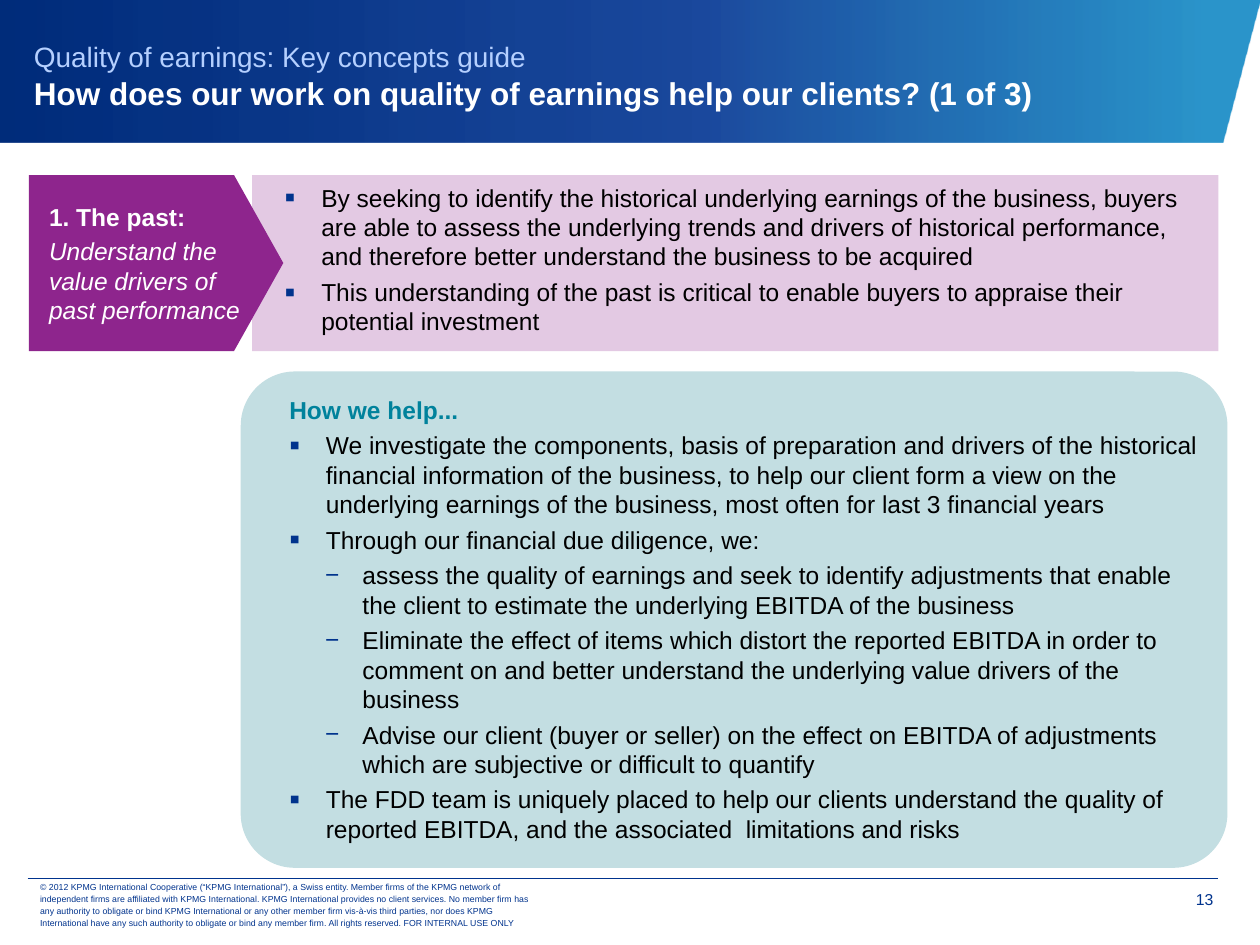
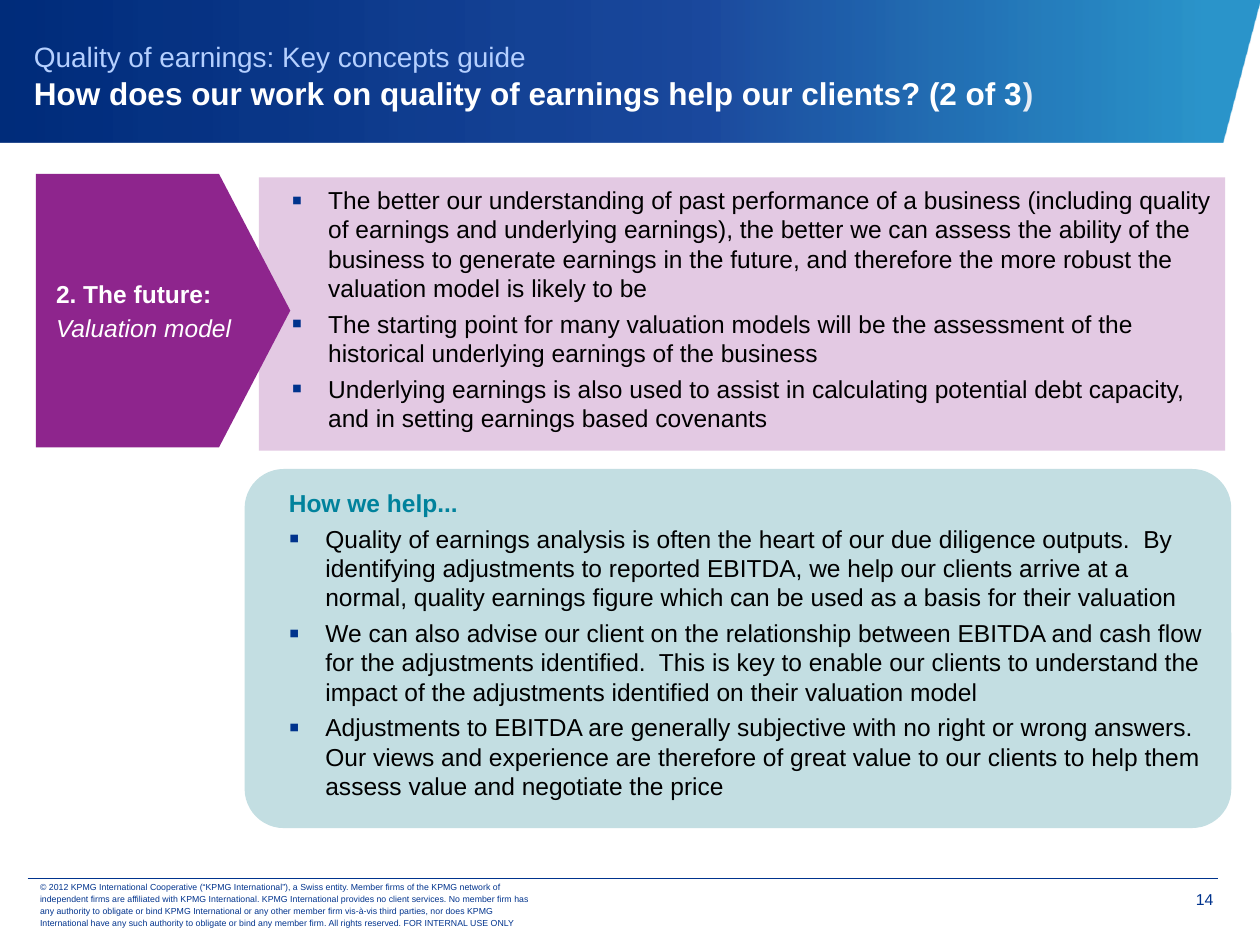
"""Build two slides on how quality of earnings work helps clients."""
from lxml.etree import SubElement
from pptx import Presentation
from pptx.dml.color import RGBColor
from pptx.enum.shapes import MSO_CONNECTOR, MSO_SHAPE
from pptx.enum.text import MSO_ANCHOR, MSO_AUTO_SIZE, PP_ALIGN
from pptx.oxml.ns import qn
from pptx.util import Pt

NAVY = RGBColor(0x00, 0x33, 0x8D)
SKY = RGBColor(0xB5, 0xD0, 0xFF)
TEAL = RGBColor(0x00, 0x82, 0x9C)
PALE_TEAL = RGBColor(0xC3, 0xDE, 0xE2)
PURPLE = RGBColor(0x8E, 0x25, 0x8D)
PALE_PURPLE = RGBColor(0xE3, 0xC9, 0xE3)
MIST = RGBColor(0xE7, 0xED, 0xF5)
WHITE = RGBColor(0xFF, 0xFF, 0xFF)
BLACK = RGBColor(0x00, 0x00, 0x00)
BAND_STOPS = [
    (4, RGBColor(0x00, 0x80, 0xC0), 83),
    (44, RGBColor(0x00, 0x34, 0x92), 89),
    (100, RGBColor(0x00, 0x2C, 0x7A), 100),
]

FONT = "Arial"
TEXT_SIZE = 14
INSET = 4.3
BAND_CORNERS = [(0, 0), (720, 0), (698.4, 81.4), (0, 81.4)]
ARROW_WIDTH, SUMMARY_WIDTH, HELP_WIDTH = 145.4, 552.2, 563.8

SERIES = "Quality of earnings: Key concepts guide"
HELP_HEADING = "How we help..."
COPYRIGHT = (
    "© 2012 KPMG International Cooperative (“KPMG International”), a Swiss entity. "
    "Member firms of the KPMG network of independent firms are affiliated with KPMG International. "
    "KPMG International provides no client services. No member firm has any authority to obligate "
    "or bind KPMG International or any other member firm vis-à-vis third parties, nor does KPMG "
    "International have any such authority to obligate or bind any member firm. "
    "All rights reserved. FOR INTERNAL USE ONLY"
)

HEADING, BULLET, DASH = "heading", "bullet", "dash"
LIST_STYLES = {
    HEADING: dict(indent=(35.3, -20.9), mark=None, color=TEAL, bold=True),
    BULLET: dict(indent=(35.3, -20.9), mark="▪", scale=125, color=BLACK, bold=False),
    DASH: dict(indent=(56.2, -21.4), mark="−", scale=100, color=BLACK, bold=False),
}

SLIDES = [
    dict(
        number="13",
        title=[("How does our work on quality of earnings help our clients? (1 of 3)", WHITE)],
        stage=("1. The past:", "Understand the value drivers of past performance"),
        arrow_at=(16.5, 100), summary_at=(144, 100), summary_height=100.6,
        help_at=(137.6, 212.3), help_height=283.6,
        summary=[
            (BULLET, "By seeking to identify the historical underlying earnings of the business, "
                     "buyers are able to assess the underlying trends and drivers of historical "
                     "performance, and therefore better understand the business to be acquired"),
            (BULLET, "This understanding of the past is critical to enable buyers to appraise "
                     "their potential investment"),
        ],
        help=[
            (BULLET, "We investigate the components, basis of preparation and drivers of the "
                     "historical financial information of the business, to help our client form a "
                     "view on the underlying earnings of the business, most often for last 3 "
                     "financial years"),
            (BULLET, "Through our financial due diligence, we:"),
            (DASH, "assess the quality of earnings and seek to identify adjustments that enable "
                   "the client to estimate the underlying EBITDA of the business"),
            (DASH, "Eliminate the effect of items which distort the reported EBITDA in order to "
                   "comment on and better understand the underlying value drivers of the business"),
            (DASH, "Advise our client (buyer or seller) on the effect on EBITDA of adjustments "
                   "which are subjective or difficult to quantify"),
            (BULLET, "The FDD team is uniquely placed to help our clients understand the quality "
                     "of reported EBITDA, and the associated  limitations and risks"),
        ],
    ),
    dict(
        number="14",
        title=[("How does our work on quality of earnings help our clients? (2 of 3", WHITE),
               (")", MIST)],
        stage=("2. The future:", "Valuation model"),
        arrow_at=(20.5, 99.4), summary_at=(147.9, 101.3), summary_height=156.2,
        help_at=(139.8, 268), help_height=205.2,
        summary=[
            (BULLET, "The better our understanding of past performance of a business (including "
                     "quality of earnings and underlying earnings), the better we can assess the "
                     "ability of the business to generate earnings in the future, and therefore "
                     "the more robust the valuation model is likely to be"),
            (BULLET, "The starting point for many valuation models will be the assessment of the "
                     "historical underlying earnings of the business"),
            (BULLET, "Underlying earnings is also used to assist in calculating potential debt "
                     "capacity, and in setting earnings based covenants"),
        ],
        help=[
            (BULLET, "Quality of earnings analysis is often the heart of our due diligence "
                     "outputs.  By identifying adjustments to reported EBITDA, we help our clients "
                     "arrive at a normal, quality earnings figure which can be used as a basis for "
                     "their valuation"),
            (BULLET, "We can also advise our client on the relationship between EBITDA and cash "
                     "flow for the adjustments identified.  This is key to enable our clients to "
                     "understand the impact of the adjustments identified on their valuation model"),
            (BULLET, "Adjustments to EBITDA are generally subjective with no right or wrong "
                     "answers.  Our views and experience are therefore of great value to our "
                     "clients to help them assess value and negotiate the price"),
        ],
    ),
]


def style_span(span, size, color, bold=False, italic=False):
    span.font.name = FONT
    span.font.size = Pt(size)
    span.font.color.rgb = color
    span.font.bold = bold
    span.font.italic = italic


def place(shape, left, top, width, height):
    shape.left, shape.top, shape.width, shape.height = map(Pt, (left, top, width, height))


def prepare_frame(shape, anchor, insets):
    frame = shape.text_frame
    frame.word_wrap = True
    frame.auto_size = MSO_AUTO_SIZE.NONE
    frame.vertical_anchor = anchor
    (frame.margin_left, frame.margin_top,
     frame.margin_right, frame.margin_bottom) = map(Pt, insets)
    return frame


def paint(shape, color):
    shape.fill.solid()
    shape.fill.fore_color.rgb = color
    shape.line.fill.background()


def add_panel(page, kind, box, color, adjustment):
    panel = page.shapes.add_shape(kind, *map(Pt, box))
    panel.shadow.inherit = False
    panel.adjustments[0] = adjustment
    paint(panel, color)
    return panel


def write_paragraphs(frame, texts, gap):
    frame.text = "\n".join(texts)
    for position, para in enumerate(frame.paragraphs):
        para.alignment = PP_ALIGN.LEFT
        para.space_before = Pt(gap if position else 0)
    return frame.paragraphs


def set_bullet(para, indent, mark, scale=100):
    properties = para._p.get_or_add_pPr()
    properties.set("marL", str(Pt(indent[0])))
    properties.set("indent", str(Pt(indent[1])))
    if mark is None:
        SubElement(properties, qn("a:buNone"))
        return
    color = SubElement(properties, qn("a:buClr"))
    SubElement(color, qn("a:srgbClr"), val=str(NAVY))
    SubElement(properties, qn("a:buSzPct"), val=str(scale * 1000))
    SubElement(properties, qn("a:buFont"), typeface=FONT)
    SubElement(properties, qn("a:buChar"), char=mark)


def write_list(shape, items):
    frame = prepare_frame(shape, MSO_ANCHOR.TOP, [INSET] * 4)
    paragraphs = write_paragraphs(frame, [text for _, text in items], 3.5)
    for para, (kind, _) in zip(paragraphs, items):
        style = LIST_STYLES[kind]
        set_bullet(para, style["indent"], style["mark"], style.get("scale", 100))
        style_span(para.runs[0], TEXT_SIZE, style["color"], style["bold"])


def add_band(page):
    corners = [(Pt(x), Pt(y)) for x, y in BAND_CORNERS]
    builder = page.shapes.build_freeform(*corners[0])
    builder.add_line_segments(corners[1:], close=True)
    band = builder.convert_to_shape()
    band.shadow.inherit = False
    band.line.fill.background()
    band.fill.gradient()
    band.fill.gradient_angle = 180
    gradient = band._element.spPr.find(qn("a:gradFill"))
    gradient.find(qn("a:lin")).set("ang", "10800000")
    stops = gradient.find(qn("a:gsLst"))
    for stop in list(stops):
        stops.remove(stop)
    for position, color, opacity in BAND_STOPS:
        stop = SubElement(stops, qn("a:gs"), pos=str(position * 1000))
        shade = SubElement(stop, qn("a:srgbClr"), val=str(color))
        SubElement(shade, qn("a:alpha"), val=str(opacity * 1000))
    page.shapes._spTree.remove(band._element)
    page.shapes._spTree.insert(2, band._element)


def add_note(page, text, box, size, anchor, insets):
    note = page.shapes.add_textbox(*map(Pt, box))
    frame = prepare_frame(note, anchor, insets)
    frame.text = text
    para = frame.paragraphs[0]
    style_span(para.runs[0], size, NAVY)
    return para


def add_footer(page, number):
    rule = page.shapes.add_connector(MSO_CONNECTOR.STRAIGHT, Pt(15.8), Pt(501.8), Pt(696.2), Pt(501.8))
    rule.line.color.rgb = NAVY
    rule.line.width = Pt(0.25)
    SubElement(rule._element.spPr, qn("a:effectLst"))
    legal = add_note(page, COPYRIGHT, (15.8, 504, 298.8, 25.2), 5, MSO_ANCHOR.MIDDLE, (7.2, 3.6, 7.2, 3.6))
    legal.line_spacing = Pt(7)
    folio = add_note(page, number, (653.8, 502.6, 39.6, 22.3), 9, MSO_ANCHOR.TOP, (5.8, 5.8, 0, 0))
    folio.alignment = PP_ALIGN.RIGHT


def write_title(page, pieces):
    title = page.shapes.title
    place(title, 12.2, 4.3, 707.8, 77.8)
    frame = prepare_frame(title, MSO_ANCHOR.MIDDLE, (7.2, 3.6, 7.2, 3.6))
    para = frame.paragraphs[0]
    para.text = SERIES + "\v"
    para.alignment = PP_ALIGN.LEFT
    style_span(para.runs[0], 16, SKY)
    for text, color in pieces:
        span = para.add_run()
        span.text = text
        style_span(span, 18, color, bold=True)


def add_stage_arrow(page, stage, box):
    arrow = add_panel(page, MSO_SHAPE.PENTAGON, box, PURPLE, 0.28)
    frame = prepare_frame(arrow, MSO_ANCHOR.MIDDLE, (11.5, INSET, INSET, INSET))
    name, aim = write_paragraphs(frame, stage, 3)
    style_span(name.runs[0], TEXT_SIZE, WHITE, bold=True)
    style_span(aim.runs[0], TEXT_SIZE, WHITE, italic=True)


def build_page(deck, content):
    page = deck.slides.add_slide(deck.slide_layouts[1])
    add_band(page)
    add_footer(page, content["number"])
    write_title(page, content["title"])
    height = content["summary_height"]
    summary = page.placeholders[1]
    place(summary, *content["summary_at"], SUMMARY_WIDTH, height)
    paint(summary, PALE_PURPLE)
    write_list(summary, content["summary"])
    help_box = (*content["help_at"], HELP_WIDTH, content["help_height"])
    help_panel = add_panel(page, MSO_SHAPE.ROUNDED_RECTANGLE, help_box, PALE_TEAL, 0.109)
    write_list(help_panel, [(HEADING, HELP_HEADING), *content["help"]])
    add_stage_arrow(page, content["stage"], (*content["arrow_at"], ARROW_WIDTH, height))


def main():
    deck = Presentation()
    deck.slide_width, deck.slide_height = Pt(720), Pt(540)
    for content in SLIDES:
        build_page(deck, content)
    deck.save("out.pptx")


if __name__ == "__main__":
    main()
